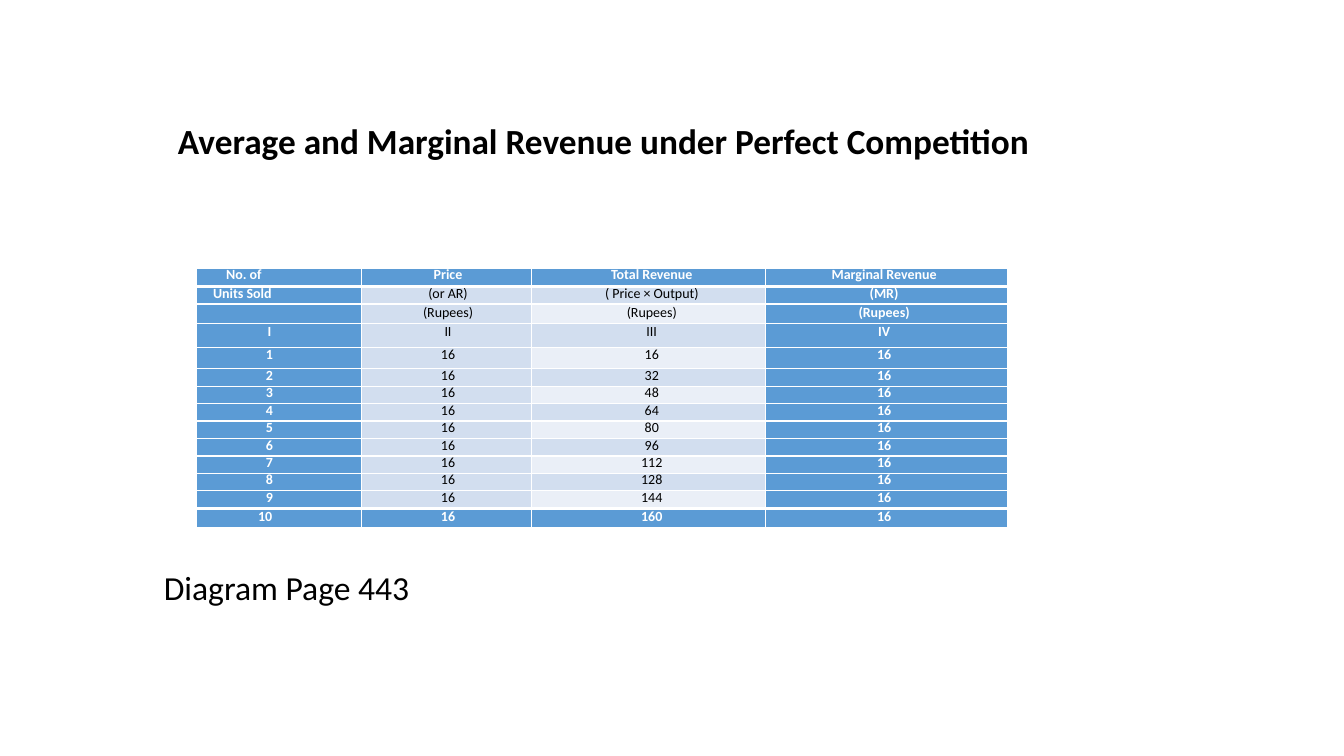
from lxml.etree import SubElement
from pptx import Presentation
from pptx.dml.color import RGBColor
from pptx.enum.text import MSO_ANCHOR, PP_ALIGN
from pptx.oxml.ns import qn
from pptx.util import Cm, Pt

# Content
TITLE = "Average and Marginal Revenue under Perfect Competition"
NOTE = "Diagram Page 443"
PRICE = 16
HEAD = [
    ("No. of", "Price", "Total Revenue", "Marginal Revenue"),
    ("Units Sold", "(or AR)", "( Price × Output)", "(MR)"),
    ("", "(Rupees)", "(Rupees)", "(Rupees)"),
    ("I", "II", "III", "IV"),
]
ROWS = HEAD + [(n, PRICE, n * PRICE, PRICE) for n in range(1, 11)]
LAST = len(ROWS) - 1

# Theme
THEME = {
    "font": "Calibri", "title": Pt(25.2), "note": Pt(24), "cell": Pt(10),
    "text": RGBColor(0, 0, 0), "white": RGBColor(255, 255, 255),
    "blue": RGBColor(0x5B, 0x9B, 0xD5),
    "band": RGBColor(0xD2, 0xDE, 0xEF), "pale": RGBColor(0xEA, 0xEF, 0xF7),
}

# Measures in centimetres
COL_WIDTHS = (4.16, 4.3, 5.89, 6.1)
ROW_HEIGHTS = [0.46, 0.44, 0.49, 0.61, 0.53] + [0.44] * 8 + [0.48]
INDENTS = [(0, 0.46), (0.46, 0.38), (0.76, 0.6), (0.64, 0.76)]  # left, right
FIRST_COL_INDENTS = {0: (0.76, 0), 1: (0.43, 0), LAST: (0.89, 1.57)}
SPACE_BEFORE = {0: 0.5, 3: 3, 4: 2.9}  # points, by row
SINGLE_SPACED = (2, 3, LAST)


def apply(obj, values):
    for name, value in values.items():
        setattr(obj, name, value)


def write(p, text, size, color, bold=False):
    r = p.add_run()
    r.text = str(text)
    apply(r.font, {"name": THEME["font"], "size": size, "bold": bold})
    r.font.color.rgb = color


def fill_box(sp, box, text, size, bold, top):
    apply(sp, dict(zip(("left", "top", "width", "height"), map(Cm, box))))
    tf = sp.text_frame
    apply(tf, {"word_wrap": True, "vertical_anchor": MSO_ANCHOR.TOP,
               "margin_top": Cm(top)})
    p = tf.paragraphs[0]
    apply(p, {"alignment": PP_ALIGN.LEFT, "line_spacing": 0.9})
    write(p, text, size, THEME["text"], bold)


def cell_fill(row, col):
    if row in (0, LAST) or col in (0, 3):
        return THEME["blue"]
    return THEME["pale"] if col == 2 and row % 2 == 0 else THEME["band"]


def add_borders(cell, row):
    thick = {"lnT": row in (1, LAST), "lnB": row in (0, LAST - 1)}
    tcPr = cell._tc.get_or_add_tcPr()
    for side in ("lnL", "lnR", "lnT", "lnB"):
        ln = SubElement(tcPr, qn("a:" + side), w=str(Pt(3 if thick.get(side) else 1)))
        fill = SubElement(ln, qn("a:solidFill"))
        SubElement(fill, qn("a:srgbClr"), val=str(THEME["white"]))


def format_cell(cell, row, col, text):
    add_borders(cell, row)
    color = cell_fill(row, col)
    cell.fill.solid()
    cell.fill.fore_color.rgb = color
    apply(cell, {"margin_" + side: 0 for side in ("left", "right", "top", "bottom")})

    p = cell.text_frame.paragraphs[0]
    if text == "":
        SubElement(p._p, qn("a:endParaRPr"), sz=str(int(THEME["cell"].pt * 100)))
        return
    left_aligned = col == 0 and row < 2
    apply(p, {"alignment": PP_ALIGN.LEFT if left_aligned else PP_ALIGN.CENTER,
              "space_before": Pt(SPACE_BEFORE.get(row, 0.1))})
    if row not in SINGLE_SPACED:
        p.line_spacing = Pt(10.9)
    indents = INDENTS[col]
    if col == 0:
        indents = FIRST_COL_INDENTS.get(row, indents)
    pPr = p._p.get_or_add_pPr()
    for name, indent in zip(("marL", "marR"), indents):
        pPr.set(name, str(Cm(indent)))
    on_blue = color == THEME["blue"]
    write(p, text, THEME["cell"], THEME["white" if on_blue else "text"], on_blue)


def main():
    prs = Presentation()
    apply(prs, {"slide_width": Cm(33.87), "slide_height": Cm(19.05)})
    slide = prs.slides.add_slide(prs.slide_layouts[5])

    # Title and note
    fill_box(slide.shapes.title, (4.23, 3.12, 25.4, 2.15), TITLE, THEME["title"], True, 0)
    note = slide.shapes.add_textbox(0, 0, 0, 0)
    fill_box(note, (3.88, 5.27, 25.4, 11.3), NOTE, THEME["note"], False, 9.12)

    # Revenue table
    table = slide.shapes.add_table(
        len(ROWS), len(COL_WIDTHS), Cm(4.94), Cm(6.76),
        Cm(sum(COL_WIDTHS)), Cm(sum(ROW_HEIGHTS))).table
    apply(table, {"first_row": False, "horz_banding": False})
    for column, width in zip(table.columns, COL_WIDTHS):
        column.width = Cm(width)
    for i, (values, height) in enumerate(zip(ROWS, ROW_HEIGHTS)):
        table.rows[i].height = Cm(height)
        for j, text in enumerate(values):
            format_cell(table.cell(i, j), i, j, text)

    prs.save("out.pptx")


if __name__ == "__main__":
    main()
